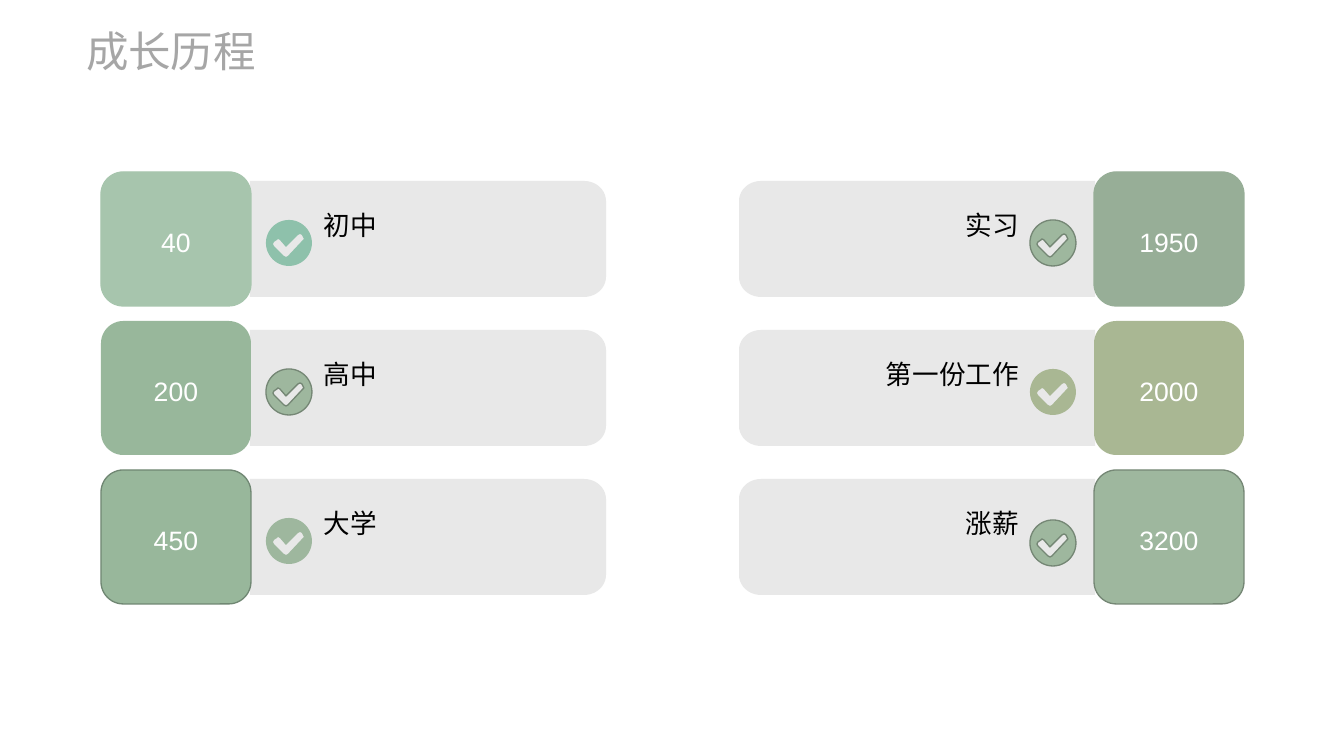
from dataclasses import dataclass
from math import cos, pi, sin

from lxml import etree
from pptx import Presentation, util as u
from pptx.dml.color import RGBColor
from pptx.enum import shapes, text
from pptx.oxml.ns import qn

# Content: value, stage, tile fill, tile line, badge fill, badge line, badge drop
TITLE = "成长历程"
LEFT = [
    ("40", "初中", "A7C5AD", "A7C5AD", "8EC1AB", None, 0),
    ("200", "高中", "98B79B", None, "9EB79E", "758775", 0),
    ("450", "大学", "98B79B", "708773", "9EB79E", None, 0),
]
RIGHT = [
    ("1950", "实习", "97AE97", "97AE97", "9EB79E", "758775", 0),
    ("2000", "第一份工作", "A9B793", None, "A9B793", None, 0),
    ("3200", "涨薪", "9EB79E", "758775", "9EB79E", "758775", 2),
]


@dataclass
class Theme:
    font: str = "Arial"
    title: str = "A6A6A6"
    label: str = "000000"
    value: str = "FFFFFF"
    panel: str = "E6E6E6"
    alpha: int = 90
    head: int = 32
    body: int = 20


theme = Theme()

# Layout in px
PX = 914400 / 95.6
WIDE, HIGH = 1344, 756
TOP, PITCH = 172, 149
TILE_W, TILE_H = 150, 134
PANEL_W, PANEL_H = 356, 116
LABEL_W, LABEL_H = 247, 35
BADGE = 46
# Offsets from the top of a row
PANEL_Y, LABEL_Y, BADGE_Y = 9, 31, 48
# Left edges of tile, panel, badge and label
SIDES = [
    (LEFT, 101, 250, 266, 324, text.PP_ALIGN.LEFT),
    (RIGHT, 1094, 739, 1030, 772, text.PP_ALIGN.RIGHT),
]
# Check mark, measured from the badge centre
CHECK = [(14, -6), (13, -8), (11, -9), (9, -8), (-3, 4), (-9, -3), (-11, -4),
         (-12, -3), (-15, -1), (-16, 1), (-15, 3), (-5, 13), (-3, 14),
         (-1, 13), (14, -3), (15, -4)]


def emu(*sizes):
    return [u.Emu(round(size * PX)) for size in sizes]


def paint(shape, fill, line=None):
    shape.shadow.inherit = False
    shape.fill.solid()
    shape.fill.fore_color.rgb = RGBColor.from_string(fill)
    if line:
        shape.line.color.rgb = RGBColor.from_string(line)
        shape.line.width = u.Pt(1)
    else:
        shape.line.fill.background()


def write(shape, words, size, color, align, anchor):
    frame = shape.text_frame
    frame.word_wrap = True
    frame.vertical_anchor = anchor
    frame.margin_left = frame.margin_right = 0
    frame.margin_top = frame.margin_bottom = 0
    para = frame.paragraphs[0]
    para.text = words
    para.alignment = align
    para.font.name = theme.font
    para.font.size = u.Pt(size)
    para.font.color.rgb = RGBColor.from_string(color)
    return para


def arc(x, y, rx, ry, start, end, steps):
    angles = [start + (end - start) * i / steps for i in range(steps + 1)]
    return [(x + rx * cos(a), y + ry * sin(a)) for a in angles]


def outline(slide, *rings):
    rings = [[emu(*point) for point in ring] for ring in rings]
    build = slide.shapes.build_freeform(*rings[0][0])
    for i, ring in enumerate(rings):
        if i:
            build.move_to(*ring[0])
        build.add_line_segments(ring[1:], close=True)
    return build.convert_to_shape()


def add_panel(slide, x, y, flip):
    rx, ry = 22, 20
    ring = [(0, 0)]
    ring += arc(PANEL_W - rx, ry, rx, ry, -pi / 2, 0, 10)
    ring += arc(PANEL_W - rx, PANEL_H - ry, rx, ry, 0, pi / 2, 10)
    ring.append((0, PANEL_H))
    shape = outline(slide, [(x + (PANEL_W - a if flip else a), y + b) for a, b in ring])
    paint(shape, theme.panel)
    color = shape.fill._xPr.find(qn("a:solidFill"))[0]
    etree.SubElement(color, qn("a:alpha"), val=str(theme.alpha * 1000))


def add_badge(slide, x, y, fill, line):
    r = BADGE / 2
    disc = arc(x + r, y + r, r, r, 0, 2 * pi, 72)
    mark = [(x + r + a, y + r + b) for a, b in CHECK]
    paint(outline(slide, disc[:-1], mark), fill, line)


def add_label(slide, x, y, words, align):
    box = slide.shapes.add_textbox(*emu(x, y, LABEL_W, LABEL_H))
    para = write(box, words, theme.body, theme.label, align, text.MSO_ANCHOR.TOP)
    para.line_spacing = 1.2
    para.space_before = u.Pt(4)


def add_tile(slide, x, y, value, fill, line):
    tile = slide.shapes.add_shape(
        shapes.MSO_SHAPE.ROUNDED_RECTANGLE, *emu(x, y, TILE_W, TILE_H))
    paint(tile, fill, line)
    para = write(tile, value, theme.body, theme.value,
                 text.PP_ALIGN.CENTER, text.MSO_ANCHOR.MIDDLE)
    para.line_spacing = 1.2
    para.space_after = u.Pt(7)


def main():
    deck = Presentation()
    deck.slide_width, deck.slide_height = emu(WIDE, HIGH)
    slide = deck.slides.add_slide(deck.slide_layouts[6])

    # Title
    box = slide.shapes.add_textbox(*emu(86, 25, 413, 52))
    write(box, TITLE, theme.head, theme.title,
          text.PP_ALIGN.LEFT, text.MSO_ANCHOR.MIDDLE)

    # Stages, one column on each side
    for stages, tile_x, panel_x, badge_x, label_x, align in SIDES:
        for i, (value, stage, fill, line, badge, rim, drop) in enumerate(stages):
            y = TOP + i * PITCH
            add_panel(slide, panel_x, y + PANEL_Y, stages is RIGHT)
            add_label(slide, label_x, y + LABEL_Y, stage, align)
            add_badge(slide, badge_x, y + BADGE_Y + drop, badge, rim)
            add_tile(slide, tile_x, y, value, fill, line)

    deck.save("out.pptx")


if __name__ == "__main__":
    main()
